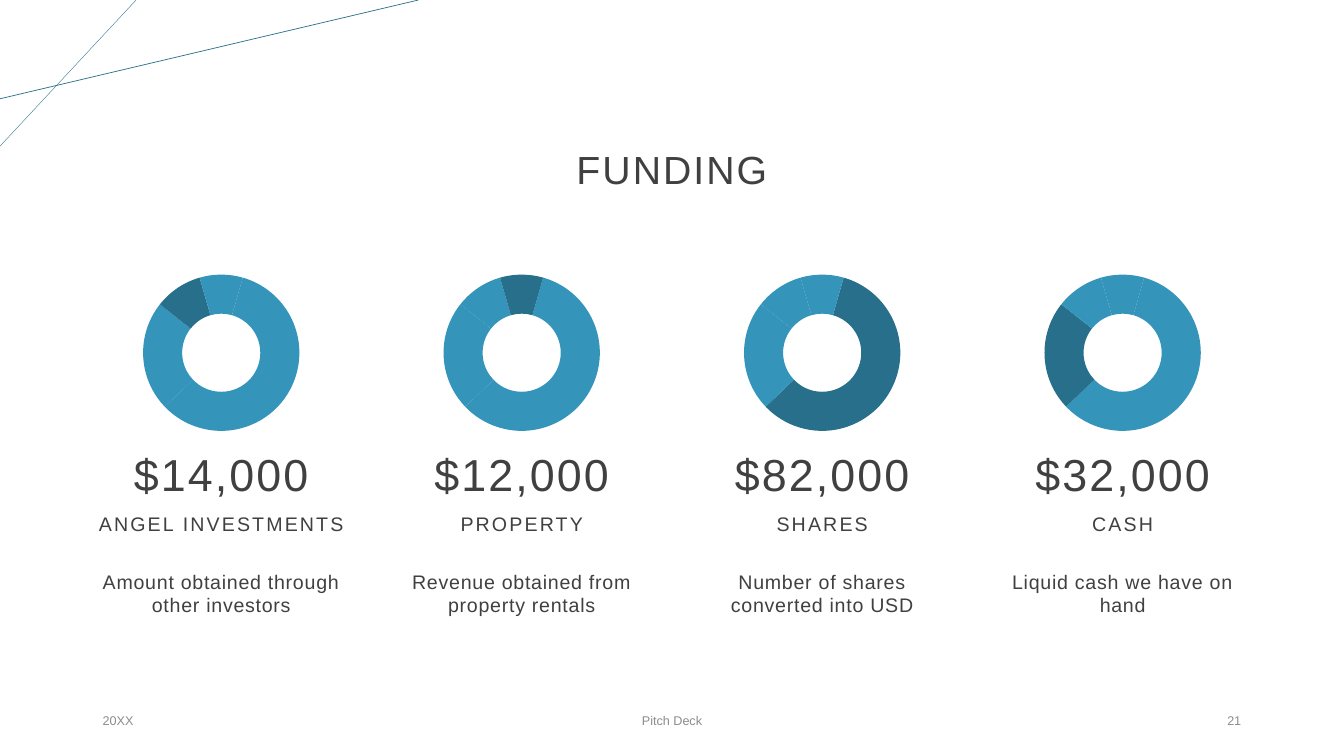
from dataclasses import dataclass

from lxml import etree
from pptx import Presentation
from pptx.chart.data import CategoryChartData
from pptx.dml.color import RGBColor
from pptx.enum.chart import XL_CHART_TYPE as ChartType
from pptx.enum.shapes import MSO_CONNECTOR as Connector
from pptx.enum.text import MSO_ANCHOR as Anchor, MSO_AUTO_SIZE as AutoSize, PP_ALIGN as Align
from pptx.oxml import parse_xml
from pptx.oxml.ns import nsdecls, qn
from pptx.util import Inches, Pt


@dataclass(frozen=True)
class Theme:
    font: str = "Arial"
    text: str = "404040"
    muted: str = "8C8C8C"
    ring: str = "3494BA"
    accent: str = "276F8B"
    title_size: int = 28
    amount_size: int = 32
    body_size: int = 14
    footer_size: int = 9
    chart_size: int = 10
    wide_spacing: float = 1.5
    body_spacing: float = 0.5


THEME = Theme()
SLIDE_WIDTH, SLIDE_HEIGHT = 13.33, 7.5

# Four equal columns between the side margins
MARGIN, COLUMN_WIDTH, COLUMN_COUNT = 0.92, 2.55, 4
COLUMN_STEP = (SLIDE_WIDTH - 2 * MARGIN - COLUMN_WIDTH) / (COLUMN_COUNT - 1)

# Rows: top and height
CHART_ROW = (2.59, 1.82)
AMOUNT_ROW = (4.14, 0.88)
SOURCE_ROW = (4.88, 0.48)
DETAIL_ROW = (5.6, 0.93)
FOOTER_ROW = (6.95, 0.4)
CHART_WIDTH, RING_DIAMETER = 2.03, 1.55

SHARES = (59, 23, 10, 9)
# Amount, source, detail, highlighted slice
FUNDING = (
    ("$14,000", "ANGEL INVESTMENTS", "Amount obtained through other investors", 2),
    ("$12,000", "PROPERTY", "Revenue obtained from property rentals", 3),
    ("$82,000", "SHARES", "Number of shares converted into USD", 0),
    ("$32,000", "CASH", "Liquid cash we have on hand", 1),
)
# Text, left, width, alignment
FOOTERS = (
    ("20XX", MARGIN, 3, Align.LEFT),
    ("Pitch Deck", (SLIDE_WIDTH - 4.5) / 2, 4.5, Align.CENTER),
    ("21", SLIDE_WIDTH - MARGIN - 3, 3, Align.RIGHT),
)


def color(value):
    return RGBColor.from_string(value)


def write_text(shape, text, size, ink=THEME.text, align=Align.CENTER,
               anchor=Anchor.MIDDLE, line_spacing=1.0, spacing=0):
    frame = shape.text_frame
    frame.word_wrap = True
    frame.auto_size = AutoSize.NONE
    frame.vertical_anchor = anchor
    paragraph = frame.paragraphs[0]
    paragraph.alignment = align
    paragraph.line_spacing = line_spacing
    run = paragraph.add_run()
    run.text = text
    run.font.name = THEME.font
    run.font.size = Pt(size)
    run.font.color.rgb = color(ink)
    if spacing:
        run.font._element.set("spc", str(int(spacing * 100)))


def add_text(slide, text, left, width, row, size, inset=0.0, **style):
    top, height = row
    box = slide.shapes.add_textbox(Inches(left), Inches(top), Inches(width), Inches(height))
    box.text_frame.margin_left = box.text_frame.margin_right = Inches(inset)
    write_text(box, text, size, **style)


def add_corner_line(slide, right, bottom, weight):
    line = slide.shapes.add_connector(
        Connector.STRAIGHT, Inches(right), 0, 0, Inches(bottom))
    line.line.color.rgb = color(THEME.accent)
    line.line.width = Pt(weight)
    etree.SubElement(line._element.spPr, qn("a:effectLst"))


def place_ring(chart):
    """Center the ring in its frame and set its hole and rotation."""
    width = RING_DIAMETER / CHART_WIDTH
    height = RING_DIAMETER / CHART_ROW[1]
    parts = (("x", (1 - width) / 2), ("y", (1 - height) / 2), ("w", width), ("h", height))
    values = "".join(f'<c:{name} val="{value:.3f}"/>' for name, value in parts)
    layout = parse_xml(
        f'<c:layout {nsdecls("c")}><c:manualLayout><c:layoutTarget val="inner"/>'
        f'<c:xMode val="edge"/><c:yMode val="edge"/>{values}</c:manualLayout></c:layout>')
    plot_area = chart._chartSpace.chart.plotArea
    for old_layout in plot_area.findall(qn("c:layout")):
        plot_area.remove(old_layout)
    plot_area.insert(0, layout)
    doughnut = plot_area.find(qn("c:doughnutChart"))
    doughnut.find(qn("c:firstSliceAng")).set("val", "16")
    doughnut.find(qn("c:holeSize")).set("val", "80")


def add_ring(slide, center, highlight):
    data = CategoryChartData()
    data.categories = [str(number) for number in range(1, len(SHARES) + 1)]
    data.add_series("Series 1", SHARES)
    top, height = CHART_ROW
    chart = slide.shapes.add_chart(
        ChartType.DOUGHNUT, Inches(center - CHART_WIDTH / 2), Inches(top),
        Inches(CHART_WIDTH), Inches(height), data).chart
    chart.has_legend = False
    chart.has_title = False
    chart.font.name = THEME.font
    chart.font.size = Pt(THEME.chart_size)
    chart.font.color.rgb = color("000000")
    plot = chart.plots[0]
    plot.vary_by_categories = True
    for index in range(len(SHARES)):
        slice_format = plot.series[0].points[index].format
        slice_format.fill.solid()
        slice_format.fill.fore_color.rgb = color(
            THEME.accent if index == highlight else THEME.ring)
        slice_format.line.fill.background()
    place_ring(chart)


def add_funding_column(slide, column, amount, source, detail, highlight):
    left = MARGIN + column * COLUMN_STEP
    add_ring(slide, left + COLUMN_WIDTH / 2, highlight)
    heading = dict(anchor=Anchor.BOTTOM, line_spacing=0.9, spacing=THEME.wide_spacing)
    add_text(slide, amount, left, COLUMN_WIDTH, AMOUNT_ROW, THEME.amount_size, **heading)
    add_text(slide, source, left, COLUMN_WIDTH, SOURCE_ROW, THEME.body_size, **heading)
    add_text(slide, detail, left, COLUMN_WIDTH, DETAIL_ROW, THEME.body_size,
             anchor=Anchor.TOP, spacing=THEME.body_spacing)


def add_title(slide, text):
    title = slide.shapes.title
    width = 9.21
    title.left, title.top = Inches((SLIDE_WIDTH - width) / 2), Inches(0.98)
    title.width, title.height = Inches(width), Inches(1.45)
    write_text(title, text, THEME.title_size, line_spacing=0.9, spacing=THEME.wide_spacing)


def main():
    presentation = Presentation()
    presentation.slide_width = Inches(SLIDE_WIDTH)
    presentation.slide_height = Inches(SLIDE_HEIGHT)
    slide = presentation.slides.add_slide(presentation.slide_layouts.get_by_name("Title Only"))

    # Corner decoration and title
    add_corner_line(slide, 1.35, 1.45, 0.25)
    add_corner_line(slide, 4.15, 0.98, 0.5)
    add_title(slide, "FUNDING")

    # Funding sources
    for column, entry in enumerate(FUNDING):
        add_funding_column(slide, column, *entry)

    # Footer
    for text, left, width, align in FOOTERS:
        add_text(slide, text, left, width, FOOTER_ROW, THEME.footer_size,
                 inset=0.1, ink=THEME.muted, align=align)

    presentation.save("out.pptx")


if __name__ == "__main__":
    main()
